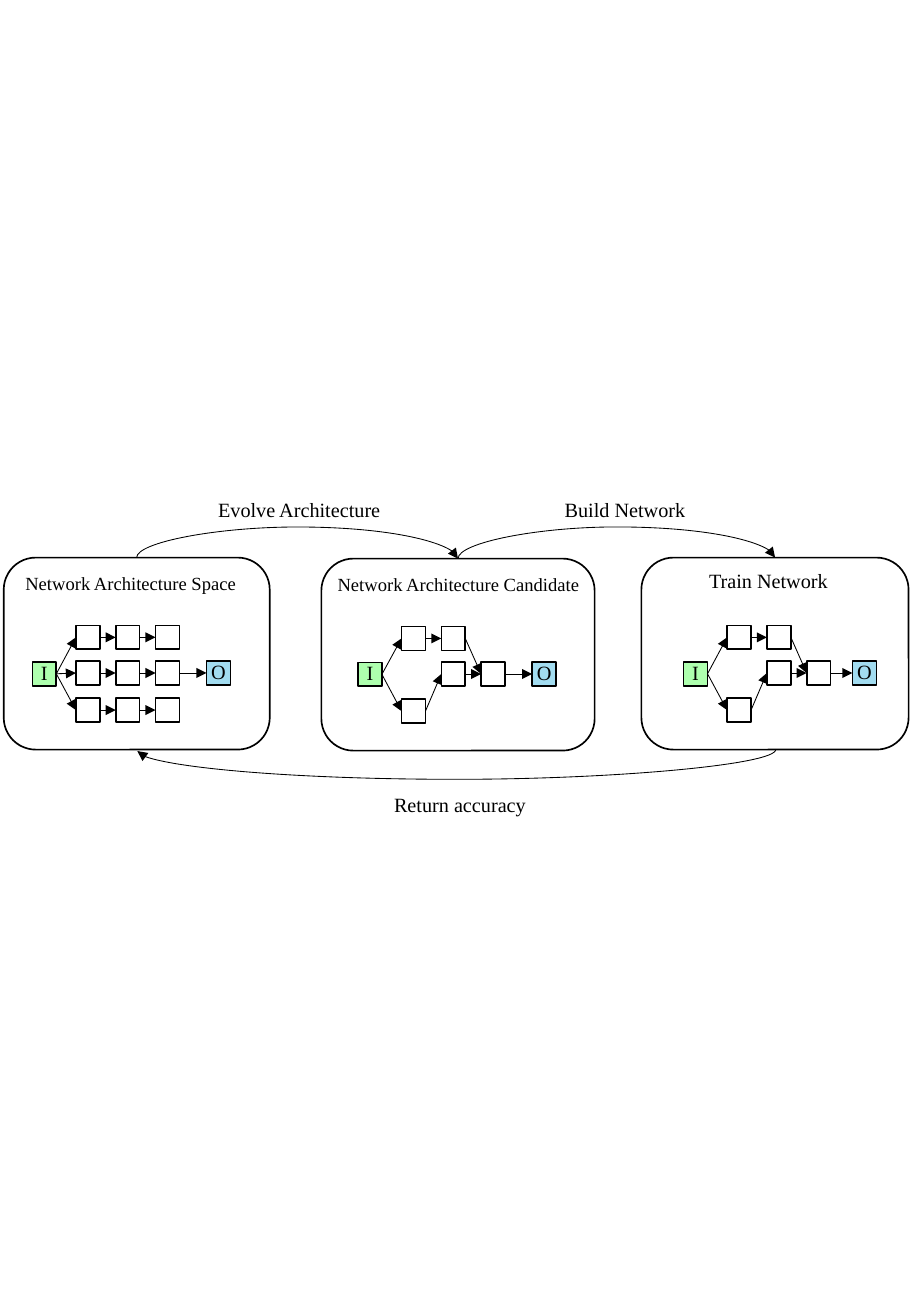
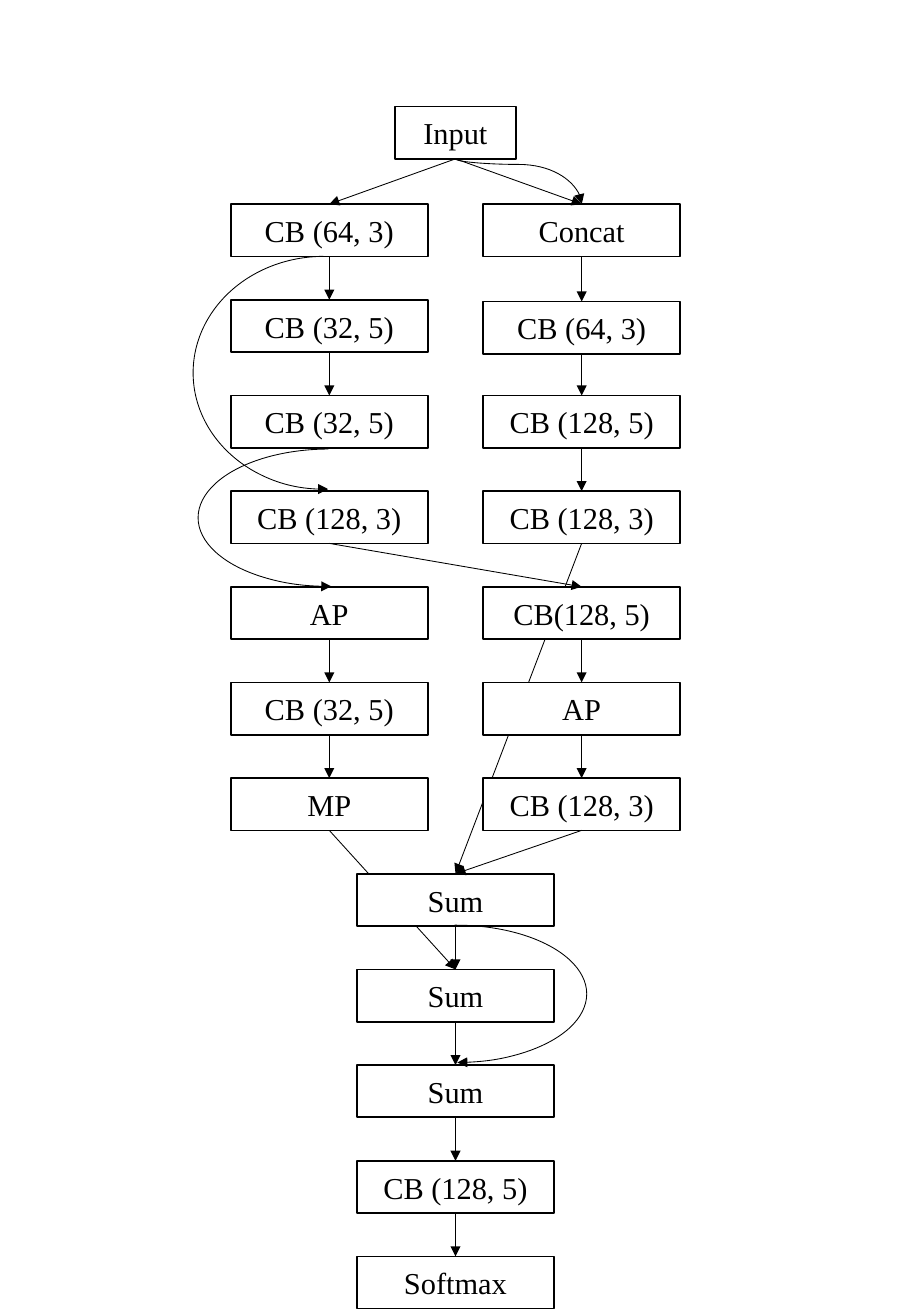
from pptx import Presentation
from pptx import util as u
from pptx.dml.color import RGBColor
from pptx.enum import shapes, text
from pptx.oxml.ns import qn
from lxml import etree

Pt = u.Pt
BLACK = RGBColor(0x00, 0x00, 0x00)
WHITE = RGBColor(0xFF, 0xFF, 0xFF)
GREEN = RGBColor(0xAE, 0xFF, 0xAE)
BLUE = RGBColor(0xA2, 0xDC, 0xF0)
FONT = "Times New Roman"
KIND = shapes.MSO_SHAPE


def add_box(slide, kind, left, top, width, height, fill=None, label="", size=18, spacing=1.0):
    """Add an outlined shape with an optional centred label."""
    shape = slide.shapes.add_shape(kind, Pt(left), Pt(top), Pt(width), Pt(height))
    shape.shadow.inherit = False
    shape.line.color.rgb = BLACK
    shape.line.width = Pt(1)
    if fill is None:
        shape.fill.background()
    else:
        shape.fill.solid()
        shape.fill.fore_color.rgb = fill
    if label:
        frame = shape.text_frame
        frame.margin_left = frame.margin_right = frame.margin_top = frame.margin_bottom = 0
        frame.vertical_anchor = text.MSO_ANCHOR.MIDDLE
        paragraph = frame.paragraphs[0]
        paragraph.alignment = text.PP_ALIGN.CENTER
        paragraph.line_spacing = spacing
        run = paragraph.add_run()
        run.text = label
        run.font.name, run.font.size, run.font.color.rgb = FONT, Pt(size), BLACK
    return shape


def add_arrow(slide, start, end, bulge=None):
    """Add an arrow; a bulge bends it that far below (or above) its start."""
    kind = shapes.MSO_CONNECTOR.STRAIGHT
    if bulge is not None:
        # A curve leaving vertically is a horizontal one turned by a quarter
        kind = shapes.MSO_CONNECTOR.CURVE
        run_x, run_y = end[0] - start[0], end[1] - start[1]
        middle_x, middle_y = (start[0] + end[0]) / 2, (start[1] + end[1]) / 2
        turn = 1 if run_x > 0 and run_y > 0 else -1
        start = (middle_x + turn * run_y / 2, middle_y - turn * run_x / 2)
        end = (middle_x - turn * run_y / 2, middle_y + turn * run_x / 2)
    connector = slide.shapes.add_connector(kind, *(Pt(value) for value in start + end))
    connector.line.color.rgb = BLACK
    connector.line.width = Pt(0.5)
    properties = connector._element.spPr
    etree.SubElement(properties.find(qn("a:ln")), qn("a:tailEnd"), type="triangle")
    etree.SubElement(properties, qn("a:effectLst"))
    if bulge is not None:
        properties.find(qn("a:xfrm")).set("rot", str((270 if turn == 1 else 90) * 60000))
        guides = properties.find(qn("a:prstGeom")).find(qn("a:avLst"))
        etree.SubElement(guides, qn("a:gd"), name="adj1",
                         fmla=f"val {round(bulge / run_y * 100000)}")


presentation = Presentation()
presentation.slide_width, presentation.slide_height = Pt(540), Pt(780)
blank = presentation.slide_layouts[6]

# Slide 1: architecture search loop
slide = presentation.slides.add_slide(blank)
NODE = 14.2
ROW_TOPS = {"a": 370.7, "b": 391.8, "c": 413.8}
SPACE_NODES = "a1 b1 c1 a2 b2 c2 a3 b3 c3"
SPACE_EDGES = "I-a1 I-b1 I-c1 a1-a2 a2-a3 b1-b2 b2-b3 c1-c2 c2-c3 b3-O"
CHOSEN_NODES = "a1 c1 a2 b2 b3"
CHOSEN_EDGES = "I-a1 I-c1 a1-a2 a2-b3 c1-b2 b2-b3 b3-O"

# Panels: frame left, frame width, downward shift, output offset, nodes, edges
panels = [
    (2.2, 157.7, 0, 103.2, SPACE_NODES, SPACE_EDGES),
    (190.5, 162, 0.6, 103.2, CHOSEN_NODES, CHOSEN_EDGES),
    (380.2, 158.4, 0, 100.1, CHOSEN_NODES, CHOSEN_EDGES),
]
for number, (left, width, shift, output_offset, names, edges) in enumerate(panels):
    add_box(slide, KIND.ROUNDED_RECTANGLE, left, 330.5 + shift, width, 113.8)
    input_left = 19.2 + 193 * number
    nodes = {"I": (input_left, 392.3 + shift / 2)}
    for name in names.split():
        column = int(name[1]) - 1
        nodes[name] = (input_left + 25.8 + 23.6 * column, ROW_TOPS[name[0]] + shift)
    nodes["O"] = (input_left + output_offset, ROW_TOPS["b"] + shift)
    for name, (x, y) in nodes.items():
        fill = {"I": GREEN, "O": BLUE}.get(name, WHITE)
        add_box(slide, KIND.RECTANGLE, x, y, NODE, NODE, fill,
                name if name in "IO" else "", 12, 0.9)
    for edge in edges.split():
        (x1, y1), (x2, y2) = (nodes[name] for name in edge.split("-"))
        add_arrow(slide, (x1 + NODE, y1 + NODE / 2), (x2, y2 + NODE / 2))

# Loop arrows between the panels
add_arrow(slide, (81, 330.5), (271.5, 331.1), -18.3)
add_arrow(slide, (271.5, 331.1), (459.4, 330.5), -18.9)
add_arrow(slide, (459.8, 444.3), (81.4, 445.2), 17.5)

# Captions: words, left, top, width, size
captions = [
    ("Network Architecture Space", 7.9, 335.5, 154.8, 11),
    ("Network Architecture Candidate", 193, 336.1, 162, 11),
    ("Train Network", 413.2, 333.5, 90.7, 12),
    ("Evolve Architecture", 122.2, 291.2, 116.6, 12),
    ("Build Network", 327.6, 291.4, 110.2, 12),
    ("Return accuracy", 226.5, 466, 95.8, 12),
]
for words, left, top, width, size in captions:
    box = slide.shapes.add_textbox(Pt(left), Pt(top), Pt(width), Pt(21.6))
    box.text_frame.word_wrap = True
    run = box.text_frame.paragraphs[0].add_run()
    run.text = words
    run.font.name, run.font.size, run.font.color.rgb = FONT, Pt(size), BLACK

# Slide 2: evolved network
slide = presentation.slides.add_slide(blank)
CENTRES = {"L": 195.2, "M": 270, "R": 344.8}
BOX_HEIGHT, BOX_WIDTH, INPUT_WIDTH = 31, 116.8, 72
FIRST_TOP, ROW_STEP = 121, 56.7

# Layers: column and name, row, label
layers = [("M0", -0.02, "Input")]
left_labels = ["CB (64, 3)", "CB (32, 5)", "CB (32, 5)", "CB (128, 3)", "AP", "CB (32, 5)", "MP"]
right_labels = ["Concat", "CB (64, 3)", "CB (128, 5)", "CB (128, 3)", "CB(128, 5)", "AP",
                "CB (128, 3)"]
middle_labels = ["Sum", "Sum", "Sum", "CB (128, 5)", "Softmax"]
for column, first, labels in (("L", 1, left_labels), ("R", 1, right_labels),
                              ("M", 8, middle_labels)):
    for row, label in enumerate(labels, first):
        layers.append((f"{column}{row}", row, label))
tops = {name: FIRST_TOP + ROW_STEP * (row - 1) for name, row, label in layers}
tops["R2"] += 1

# Two long links run behind the boxes, the rest in front
behind = "L7-M9 R4-M8"
front = ("M0-L1 M0-R1 L1-L2 L2-L3 L4-R5 L5-L6 L6-L7 R1-R2 R2-R3 R3-R4 R5-R6 R6-R7 "
         "R7-M8 M8-M9 M9-M10 M10-M11 M11-M12")
for links in (behind, front):
    for link in links.split():
        source, target = link.split("-")
        add_arrow(slide, (CENTRES[source[0]], tops[source] + BOX_HEIGHT),
                  (CENTRES[target[0]], tops[target]))
    if links == behind:
        for name, row, label in layers:
            width = INPUT_WIDTH if name == "M0" else BOX_WIDTH
            add_box(slide, KIND.RECTANGLE, CENTRES[name[0]] - width / 2, tops[name],
                    width, BOX_HEIGHT, WHITE, label)
add_arrow(slide, (CENTRES["M"], tops["M0"] + BOX_HEIGHT), (CENTRES["R"], tops["R1"]), 3.3)

# Skip links: left, top, height, start and end angle, arrowhead
skips = [
    (114.5, 152, 138, 87.78, 269.82, "headEnd"),
    (117.4, 266.2, 81.4, 87.78, 269.82, "headEnd"),
    (193, 548.4, 81.4, 268.73, 89.04, "tailEnd"),
]
for left, top, height, start_angle, end_angle, head in skips:
    arc = add_box(slide, KIND.ARC, left, top, 154.8, height)
    # Angles count in 60000ths of a degree, adjustments in 100000ths
    arc.adjustments[0] = start_angle * 0.6
    arc.adjustments[1] = end_angle * 0.6
    arc.line.width = Pt(0.5)
    etree.SubElement(arc._element.spPr.find(qn("a:ln")), qn("a:" + head), type="triangle")

presentation.save("out.pptx")
